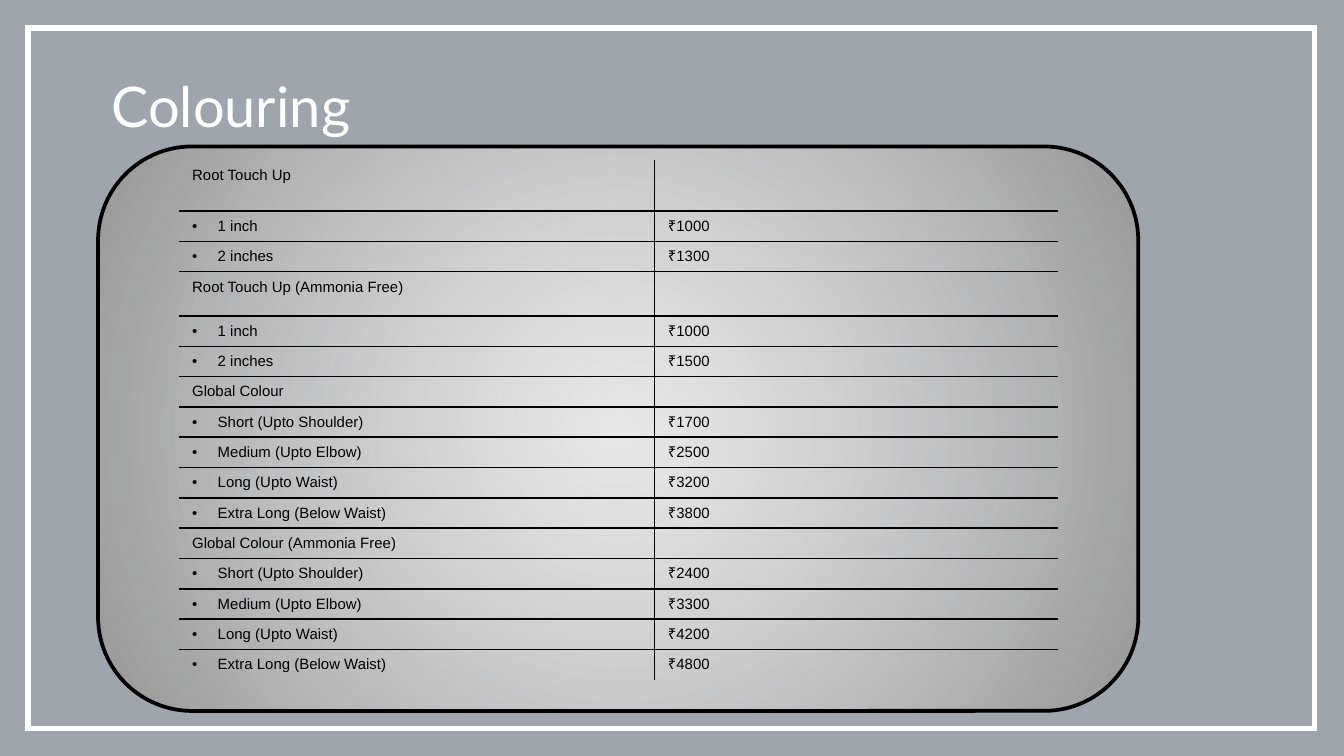
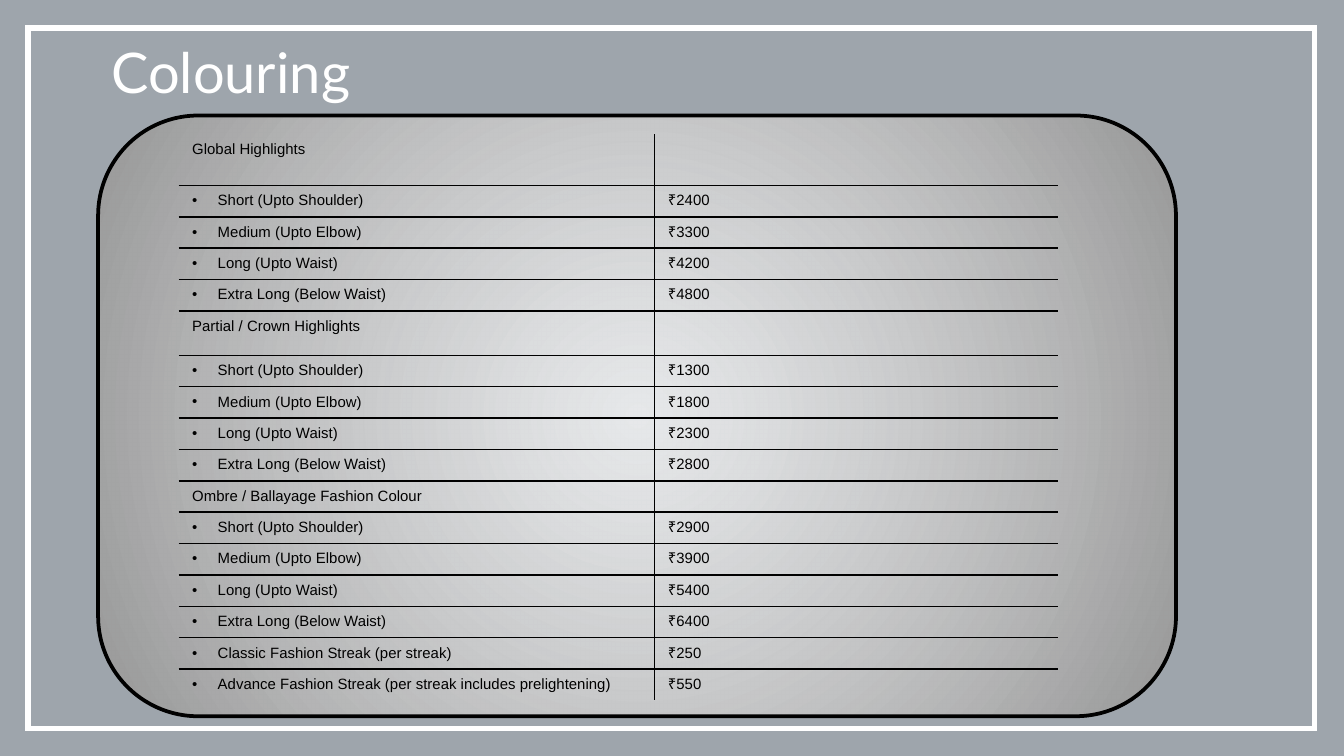
from pptx import Presentation
from pptx import util as u
from pptx.dml.color import RGBColor
from pptx.enum import shapes, text
from pptx.oxml import parse_xml
from pptx.oxml.ns import nsdecls

INK, WHITE, NAVY, GREY = "000000", "FFFFFF", "021526", "979797"
HEADING_HEIGHTS = [0.38, 0.33, 0.2, 0.2]
ITEM_HEIGHT = 0.2
LENGTHS = ["Short (Upto Shoulder)", "Medium (Upto Elbow)",
           "Long (Upto Waist)", "Extra Long (Below Waist)"]
ROOTS = ["1 inch", "2 inches"]

# fitted_row has no height of its own and takes that of its text
PAGES = [
    {"title_top": 0.48, "panel": (0.73, 1.09, 7.74, 4.2),
     "table": (1.33, 1.19, 6.54, 3.96), "fitted_row": 9,
     "sections": [
         ("Root Touch Up", ROOTS, [1000, 1300]),
         ("Root Touch Up (Ammonia Free)", ROOTS, [1000, 1500]),
         ("Global Colour", LENGTHS, [1700, 2500, 3200, 3800]),
         ("Global Colour (Ammonia Free)", LENGTHS, [2400, 3300, 4200, 4800])]},
    {"title_top": 0.23, "panel": (0.73, 0.86, 8.02, 4.47),
     "table": (1.33, 1, 6.54, 4.2), "fitted_row": 13,
     "sections": [
         ("Global Highlights", LENGTHS, [2400, 3300, 4200, 4800]),
         ("Partial / Crown Highlights", LENGTHS, [1300, 1800, 2300, 2800]),
         ("Ombre / Ballayage Fashion Colour",
          LENGTHS + ["Classic Fashion Streak (per streak)",
                     "Advance Fashion Streak (per streak includes prelightening)"],
          [2900, 3900, 5400, 6400, 250, 550])]},
]


def colour(value):
    return RGBColor.from_string(value)


def xml(tag, content="", attributes=""):
    """Build one DrawingML element."""
    return parse_xml(f"<a:{tag} {nsdecls('a')} {attributes}>{content}</a:{tag}>")


deck = Presentation()
deck.slide_width = u.Inches(10)
deck.slide_height = deck.slide_width * 9 // 16

for content in PAGES:
    page = deck.slides.add_slide(deck.slide_layouts[6])
    page.background.fill.solid()
    page.background.fill.fore_color.rgb = colour(WHITE)

    # Tinted backdrop, white frame and price panel
    backdrop, frame, panel = [
        page.shapes.add_shape(kind, *map(u.Inches, place)) for kind, place in [
            (shapes.MSO_SHAPE.RECTANGLE, (0, 0, 10, 5.64)),
            (shapes.MSO_SHAPE.RECTANGLE, (0.21, 0.21, 9.57, 5.21)),
            (shapes.MSO_SHAPE.ROUNDED_RECTANGLE, content["panel"])]]
    for shape in (backdrop, frame, panel):
        shape.shadow.inherit = False
    backdrop.fill.solid()
    backdrop.fill.fore_color.rgb = colour(NAVY)
    tint = backdrop.fill._xPr.solidFill[0]
    tint.append(xml("alpha", attributes='val="38000"'))
    backdrop.line.fill.background()
    frame.fill.background()
    for shape, line_colour, width in [(frame, WHITE, 3), (panel, INK, 2)]:
        shape.line.color.rgb = colour(line_colour)
        shape.line.width = u.Pt(width)
        shape.line._ln.append(xml("miter", attributes='lim="800000"'))
    glow = xml("gradFill", f'''<a:gsLst>
        <a:gs pos="0"><a:srgbClr val="{WHITE}"><a:alpha val="75000"/></a:srgbClr></a:gs>
        <a:gs pos="100000"><a:srgbClr val="{GREY}"/></a:gs></a:gsLst>
        <a:path path="circle"><a:fillToRect l="50000" t="50000" r="50000" b="50000"/></a:path>''')
    panel._element.spPr.prstGeom.addnext(glow)

    # Price table: None marks a heading row without a price
    rows = []
    for (heading, items, prices), height in zip(content["sections"], HEADING_HEIGHTS):
        rows.append((heading, None, height))
        rows += [(item, price, ITEM_HEIGHT) for item, price in zip(items, prices)]
    holder = page.shapes.add_table(len(rows), 2, *map(u.Inches, content["table"]))
    table = holder.table
    table.first_row = table.horz_banding = False
    for column, width in zip(table.columns, (3.54, 3)):
        column.width = u.Inches(width)

    for r, (label, price, height) in enumerate(rows):
        table.rows[r].height = u.Inches(0 if r == content["fitted_row"] else height)
        for c, words in enumerate((label, "" if price is None else f"₹{price}")):
            cell = table.cell(r, c)
            para = cell.text_frame.paragraphs[0]
            if c == 0 and price is not None:
                properties = para._p.get_or_add_pPr()
                for name, inches in {"marL": 0.19, "indent": -0.19}.items():
                    properties.set(name, str(u.Inches(inches)))
                properties.append(xml("buClr", f'<a:srgbClr val="{INK}"/>'))
                properties.append(xml("buFont", attributes='typeface="Arial"'))
                properties.append(xml("buChar", attributes='char="•"'))
            if words:
                span = para.add_run()
                span.text = words
                for name, value in {"size": u.Pt(8), "name": "Arial"}.items():
                    setattr(span.font, name, value)
                span.font.color.rgb = colour(INK)
            else:
                para._p.append(xml("endParaRPr", '<a:latin typeface="Arial"/>', 'sz="800"'))

            # Only the inner grid lines show
            edges = {"lnL": c > 0, "lnR": c == 0, "lnT": r > 0, "lnB": r < len(rows) - 1}
            for edge, drawn in edges.items():
                paint = f'<a:solidFill><a:srgbClr val="{INK}"/></a:solidFill>' if drawn else "<a:noFill/>"
                cell._tc.get_or_add_tcPr().append(xml(edge, paint, 'w="12700"'))
            cell.fill.background()
    holder.height = u.Inches(content["table"][3])

    title = page.shapes.add_textbox(*map(u.Inches, (0.73, content["title_top"], 4.23, 0.61)))
    title.text_frame.word_wrap = True
    title.text_frame.auto_size = text.MSO_AUTO_SIZE.SHAPE_TO_FIT_TEXT
    span = title.text_frame.paragraphs[0].add_run()
    span.text = "Colouring"
    for name, value in {"size": u.Pt(30), "name": "Lato"}.items():
        setattr(span.font, name, value)
    span.font.color.rgb = colour(WHITE)

deck.save("out.pptx")
